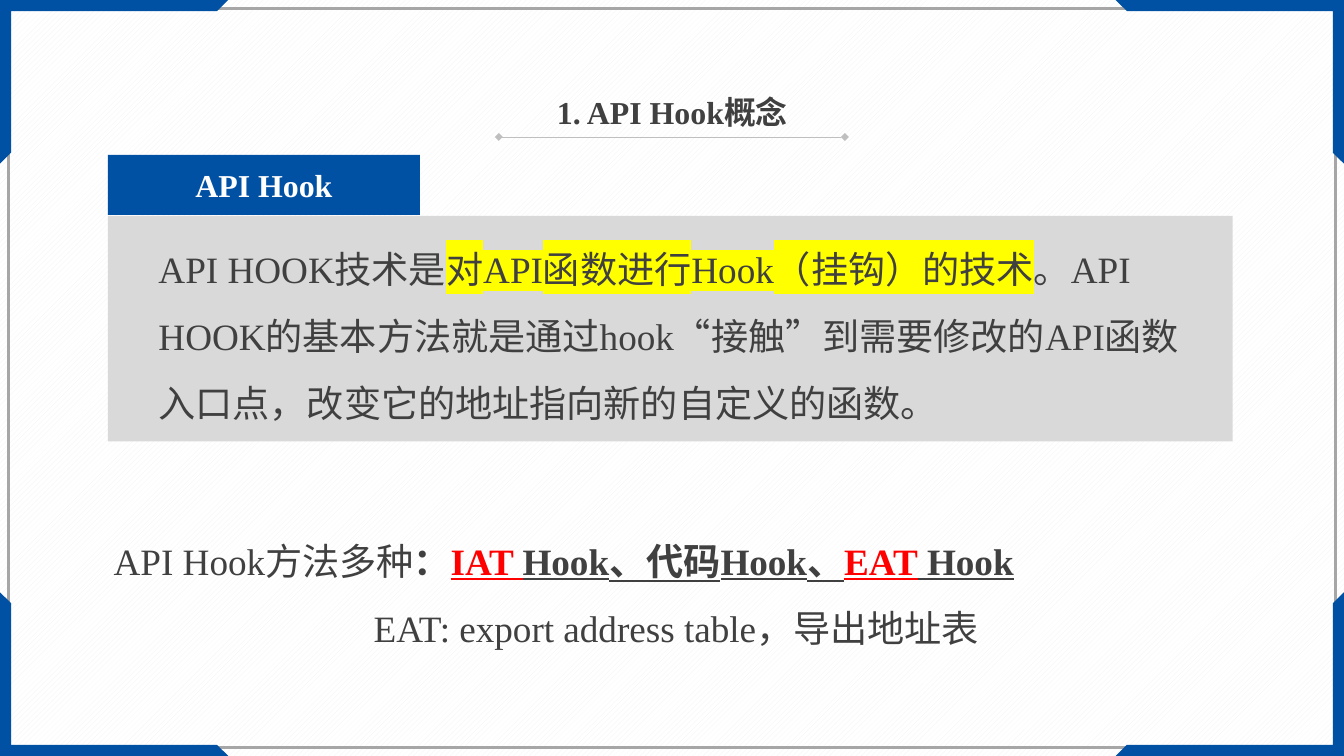
from dataclasses import dataclass
from itertools import product

from lxml import etree
from pptx import Presentation
from pptx.dml.color import RGBColor
from pptx.enum.dml import MSO_PATTERN
from pptx.enum.shapes import MSO_CONNECTOR, MSO_SHAPE
from pptx.enum.text import MSO_ANCHOR, MSO_AUTO_SIZE, PP_ALIGN
from pptx.oxml.ns import qn
from pptx.shapes.autoshape import Shape
from pptx.slide import Slide
from pptx.text.text import TextFrame
from pptx.util import Pt

LEFT, CENTER = PP_ALIGN.LEFT, PP_ALIGN.CENTER
TOP, MIDDLE = MSO_ANCHOR.TOP, MSO_ANCHOR.MIDDLE
RECT = MSO_SHAPE.RECTANGLE
STRAIGHT = MSO_CONNECTOR.STRAIGHT
HATCH = MSO_PATTERN.WIDE_UPWARD_DIAGONAL
FIXED = MSO_AUTO_SIZE.NONE


@dataclass(frozen=True)
class Theme:
    font: str = "Times New Roman"
    head: float = 24
    body: float = 28
    ink: str = "404040"
    white: str = "FFFFFF"
    hatch: str = "F2F2F2"
    blue: str = "0050A3"
    panel: str = "D9D9D9"
    frame: str = "A6A6A6"
    rule: str = "BFBFBF"
    red: str = "FF0000"
    mark: str = "FFFF00"


@dataclass(frozen=True)
class Area:
    left: float
    top: float
    width: float
    height: float

    def lengths(self) -> tuple[Pt, Pt, Pt, Pt]:
        return Pt(self.left), Pt(self.top), Pt(self.width), Pt(self.height)


@dataclass(frozen=True)
class Run:
    text: str
    color: str = ""
    bold: bool = False
    under: bool = False
    mark: str = ""


@dataclass(frozen=True)
class Para:
    runs: tuple[Run, ...]
    size: float
    color: str
    align: PP_ALIGN = LEFT
    bold: bool = False
    space: float = 1.0


THEME = Theme()
WIDTH, HEIGHT = 1012.5, 569.5
CORNER = ((0, 0), (172, 0), (163.5, 8.4), (8.4, 8.4), (8.4, 115), (0, 123.3))

TITLE = Para((Run("1. API Hook概念"),), THEME.head, THEME.ink, CENTER, True)
LABEL = Para((Run("API Hook"),), THEME.head, THEME.white, CENTER, True)
CONCEPT = Para((
    Run("API HOOK技术是"),
    Run("对API函数进行Hook（挂钩）的技术", mark=THEME.mark),
    Run("。API HOOK的基本方法就是通过hook“接触”到需要修改的API函数入口点，"
        "改变它的地址指向新的自定义的函数。"),
), THEME.body, THEME.ink, space=1.5)
METHODS = Para((
    Run("API Hook方法多种"),
    Run("：", bold=True),
    Run("IAT ", THEME.red, True, True),
    Run("Hook、代码Hook、", bold=True, under=True),
    Run("EAT", THEME.red, True, True),
    Run(" Hook", bold=True, under=True),
), THEME.body, THEME.ink, space=1.5)
EXPORT = Para((Run("EAT: export address table，导出地址表"),),
              THEME.body, THEME.ink, CENTER, space=1.5)


def rgb(color: str) -> RGBColor:
    return RGBColor.from_string(color)


def write(frame: TextFrame, paras: tuple[Para, ...], anchor: MSO_ANCHOR = TOP) -> None:
    frame.word_wrap = True
    frame.auto_size = FIXED
    frame.vertical_anchor = anchor
    for index, para in enumerate(paras):
        line = frame.add_paragraph() if index else frame.paragraphs[0]
        line.alignment = para.align
        line.line_spacing = para.space
        line.font.name = THEME.font
        line.font.size = Pt(para.size)
        line.font.bold = para.bold
        line.font.color.rgb = rgb(para.color)
        for part in para.runs:
            run = line.add_run()
            run.text = part.text
            if part.bold:
                run.font.bold = True
            if part.under:
                run.font.underline = True
            if part.color:
                run.font.color.rgb = rgb(part.color)
            if part.mark:
                light = etree.SubElement(run.font._element, qn("a:highlight"))
                etree.SubElement(light, qn("a:srgbClr"), val=part.mark)


def paint(shape: Shape, color: str) -> None:
    shape.shadow.inherit = False
    shape.fill.solid()
    shape.fill.fore_color.rgb = rgb(color)
    shape.line.fill.background()


def block(slide: Slide, area: Area, color: str) -> Shape:
    shape = slide.shapes.add_shape(RECT, *area.lengths())
    paint(shape, color)
    return shape


def note(slide: Slide, area: Area, *paras: Para) -> None:
    write(slide.shapes.add_textbox(*area.lengths()).text_frame, paras)


def border(slide: Slide) -> None:
    edge = slide.shapes.add_shape(RECT, *Area(6.5, 6.5, WIDTH - 13, HEIGHT - 13).lengths())
    edge.shadow.inherit = False
    edge.fill.background()
    edge.line.color.rgb = rgb(THEME.frame)
    edge.line.width = Pt(2)
    for right, low in product((False, True), repeat=2):
        spots = [(Pt(WIDTH - x if right else x), Pt(HEIGHT - y if low else y))
                 for x, y in CORNER]
        path = slide.shapes.build_freeform(*spots[0])
        path.add_line_segments(spots[1:], close=True)
        paint(path.convert_to_shape(), THEME.blue)


def rule(slide: Slide) -> None:
    line = slide.shapes.add_connector(STRAIGHT, Pt(375.8), Pt(103.2), Pt(636.5), Pt(103.2))
    line.line.color.rgb = rgb(THEME.rule)
    line.line.width = Pt(0.5)
    stroke = line.line._get_or_add_ln()
    for end in ("a:headEnd", "a:tailEnd"):
        etree.SubElement(stroke, qn(end), type="diamond")
    etree.SubElement(line._element.spPr, qn("a:effectLst"))


def main() -> None:
    deck = Presentation()
    deck.slide_width, deck.slide_height = Pt(WIDTH), Pt(HEIGHT)
    slide = deck.slides.add_slide(deck.slide_layouts[5])
    back = slide.background.fill
    back.patterned()
    back.pattern = HATCH
    back.fore_color.rgb = rgb(THEME.hatch)
    back.back_color.rgb = rgb(THEME.white)

    border(slide)
    title = slide.shapes.title
    title.left, title.top, title.width, title.height = Area(362, 66.2, 289, 36.3).lengths()
    write(title.text_frame, (TITLE,))
    rule(slide)

    label = block(slide, Area(81.2, 116.7, 235.2, 45.3), THEME.blue)
    write(label.text_frame, (LABEL,), MIDDLE)
    block(slide, Area(81.2, 162.7, 847.5, 169.8), THEME.panel)
    note(slide, Area(112.3, 165, 794, 160), CONCEPT)
    note(slide, Area(78.5, 385, 862, 109), METHODS, EXPORT)
    deck.save("out.pptx")


if __name__ == "__main__":
    main()
